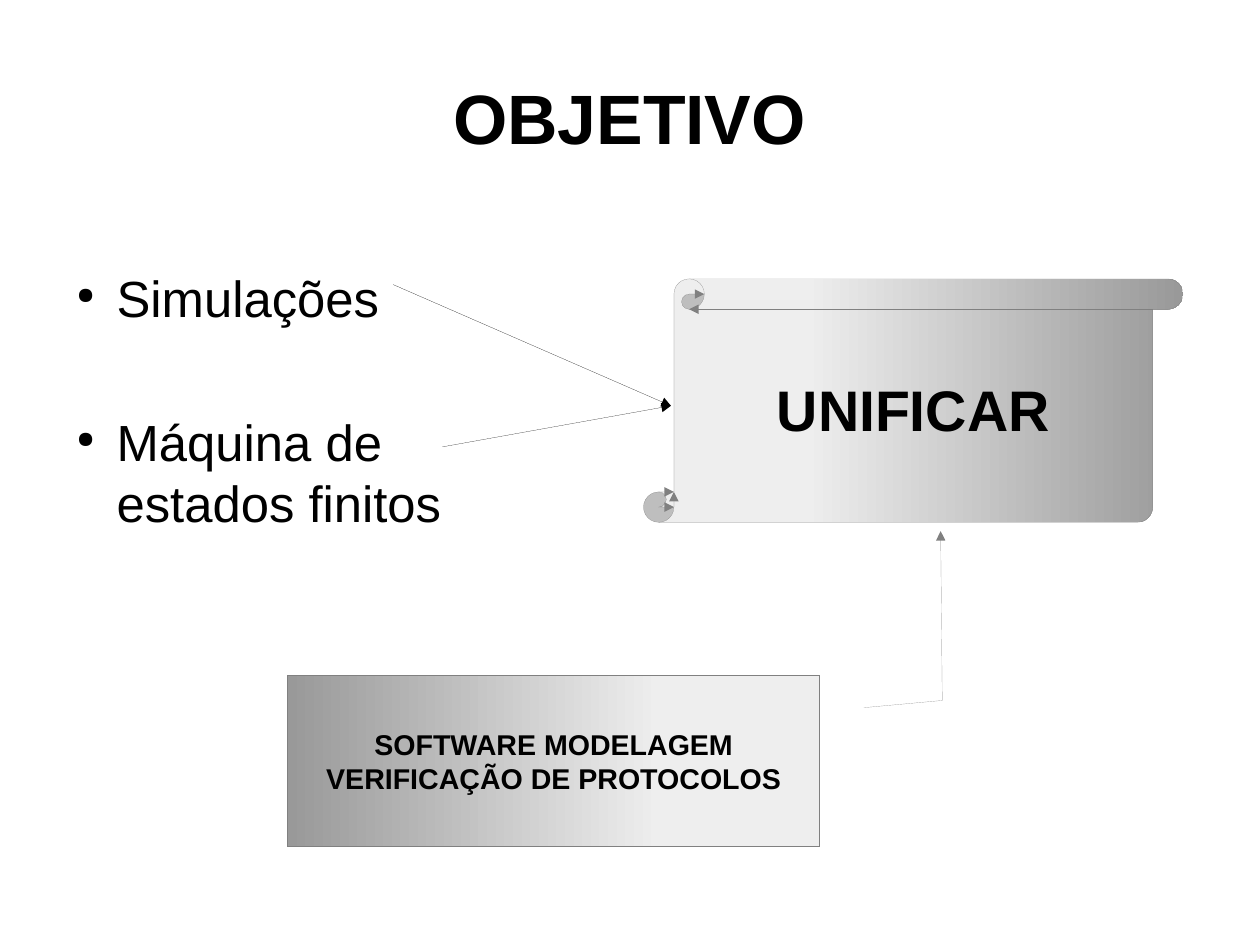
from dataclasses import dataclass

from lxml.etree import SubElement
from pptx import Presentation
from pptx.dml.color import RGBColor
from pptx.enum.shapes import MSO_CONNECTOR, MSO_SHAPE
from pptx.enum.text import MSO_ANCHOR, PP_ALIGN
from pptx.oxml.ns import qn
from pptx.util import Inches, Pt


@dataclass(frozen=True)
class Theme:
    font: str = "Arial"
    ink: RGBColor = RGBColor(0x00, 0x00, 0x00)
    outline: RGBColor = RGBColor(0x80, 0x80, 0x80)
    light: RGBColor = RGBColor(0xEE, 0xEE, 0xEE)
    dark: RGBColor = RGBColor(0x99, 0x99, 0x99)
    title_size: int = 44
    goal_size: int = 36
    topic_size: int = 32
    software_size: int = 18


THEME = Theme()


def style_text(paragraph, size, bold=False, align=PP_ALIGN.CENTER):
    paragraph.alignment = align
    font = paragraph.font
    font.name, font.size, font.bold = THEME.font, Pt(size), bold
    font.color.rgb = THEME.ink


def clear_margins(frame):
    frame.margin_left = frame.margin_right = 0
    frame.margin_top = frame.margin_bottom = 0


def style_arrow_line(item, color):
    """Hairline that ends in a triangle."""
    item.line.color.rgb = color
    line = item._element.spPr.find(qn("a:ln"))
    line.set("w", "0")
    SubElement(line, qn("a:tailEnd"), type="triangle")


def add_title(slide, box, text):
    title = slide.shapes.title
    title.left, title.top, title.width, title.height = map(Inches, box)
    frame = title.text_frame
    frame.text = text
    frame.vertical_anchor = MSO_ANCHOR.MIDDLE
    clear_margins(frame)
    style_text(frame.paragraphs[0], THEME.title_size, bold=True)


def add_topics(slide, box, topics):
    frame = slide.shapes.add_textbox(*map(Inches, box)).text_frame
    frame.word_wrap = True
    clear_margins(frame)
    for index, topic in enumerate(topics):
        paragraph = frame.add_paragraph() if index else frame.paragraphs[0]
        paragraph.text = topic
        style_text(paragraph, THEME.topic_size, align=PP_ALIGN.LEFT)
        paragraph.space_after = Pt(52.5)
        # Small round bullet with a hanging indent
        properties = paragraph._p.get_or_add_pPr()
        properties.set("marL", str(Inches(0.47)))
        properties.set("indent", str(Inches(-0.35)))
        SubElement(properties, qn("a:buSzPct"), val="45000")
        SubElement(properties, qn("a:buChar"), char="●")


def add_arrow(slide, start, end):
    arrow = slide.shapes.add_connector(
        MSO_CONNECTOR.STRAIGHT, *map(Inches, (*start, *end)))
    style_arrow_line(arrow, THEME.ink)
    SubElement(arrow._element.spPr, qn("a:effectLst"))


def add_panel(slide, kind, box, adjustments, lines, size):
    """Shaded shape with centred bold lines."""
    panel = slide.shapes.add_shape(kind, *map(Inches, box))
    panel.shadow.inherit = False
    for index, value in enumerate(adjustments):
        panel.adjustments[index] = value
    panel.fill.gradient()
    panel.fill.gradient_angle = 0
    shades = ((0.3, THEME.light), (1, THEME.dark))
    for stop, (position, color) in zip(panel.fill.gradient_stops, shades):
        stop.position = position
        stop.color.rgb = color
    style_arrow_line(panel, THEME.outline)
    frame = panel.text_frame
    frame.word_wrap = False
    frame.vertical_anchor = MSO_ANCHOR.MIDDLE
    frame.text = "\n".join(lines)
    for paragraph in frame.paragraphs:
        style_text(paragraph, size, bold=True)
    return panel


def add_goal(slide, box, topic_ends):
    """Scroll with arrows from the topics to its left side."""
    left, top, _, height = box
    target = (left + 0.24, top + height / 2 + 0.045)
    for start in topic_ends:
        add_arrow(slide, start, target)
    add_panel(slide, MSO_SHAPE.VERTICAL_SCROLL, box, [0.125],
              ["UNIFICAR"], THEME.goal_size)


def add_software(slide, box):
    """Callout, mirrored so that its leader rises on the right."""
    callout = add_panel(
        slide, MSO_SHAPE.LINE_CALLOUT_2, box,
        [0.188, -0.083, 0.146, -0.231, -0.842, -0.228],
        ["SOFTWARE MODELAGEM", "VERIFICAÇÃO DE PROTOCOLOS"],
        THEME.software_size)
    callout._element.spPr.find(qn("a:xfrm")).set("flipH", "1")


def main():
    deck = Presentation()
    # 28 by 21 centimetres
    deck.slide_width, deck.slide_height = Inches(28 / 2.54), Inches(21 / 2.54)
    slide = deck.slides.add_slide(deck.slide_layouts.get_by_name("Title Only"))
    add_topics(slide, (0.55, 2.33, 9.92, 2.5),
               ["Simulações", "Máquina de\vestados finitos"])
    add_goal(slide, (5.63, 2.44, 4.72, 2.13), [(3.44, 2.49), (3.87, 3.91)])
    add_title(slide, (0.55, 0.33, 9.92, 1.38), "OBJETIVO")
    add_software(slide, (2.52, 5.91, 4.65, 1.5))
    deck.save("out.pptx")


if __name__ == "__main__":
    main()
